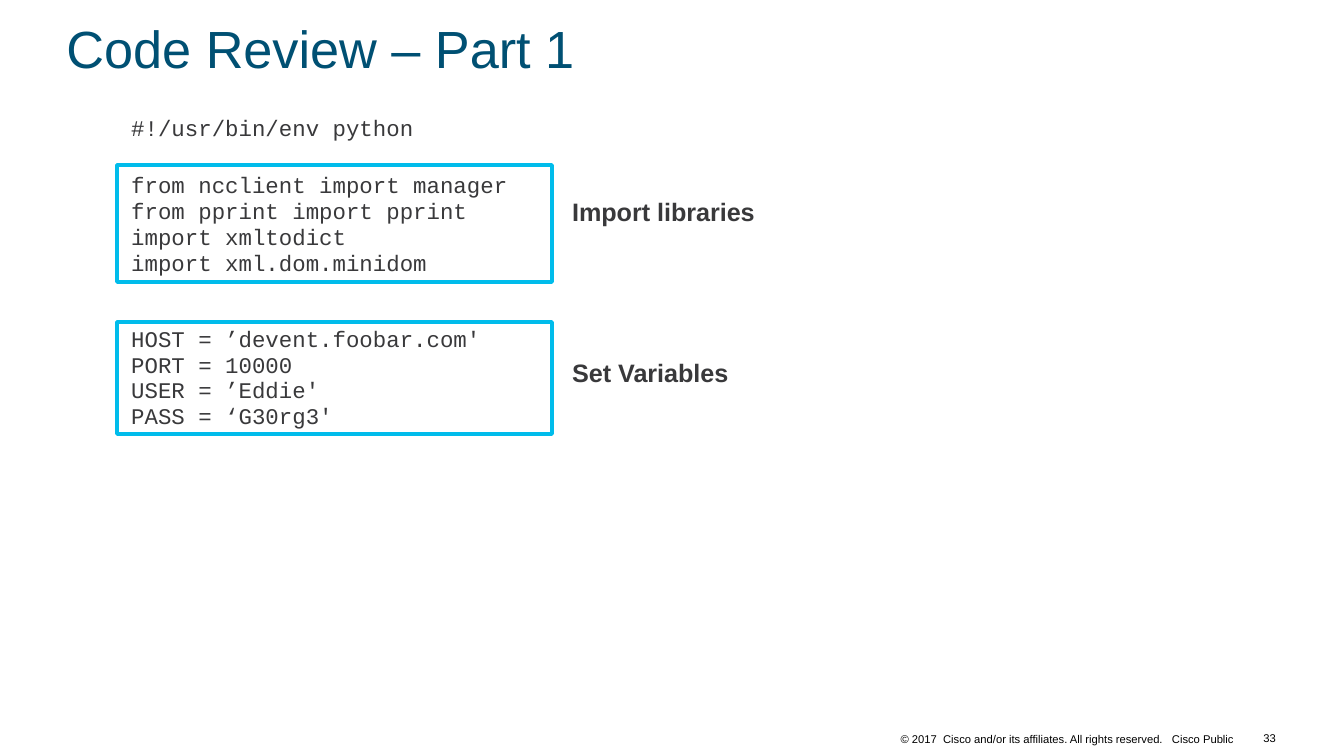
from dataclasses import dataclass, field

from pptx import Presentation
from pptx.dml.color import RGBColor
from pptx.enum.shapes import MSO_SHAPE
from pptx.enum.text import MSO_ANCHOR, MSO_AUTO_SIZE, PP_ALIGN
from pptx.util import Emu, Pt

PX_PER_INCH = 134.4
TITLE_ONLY = 5
DARK, BLUE, CYAN, BLACK = "39393B", "005073", "00BCEB", "000000"


@dataclass(frozen=True)
class Box:
    left: int
    top: int
    width: int
    height: int


@dataclass(frozen=True)
class Line:
    text: str
    space_before: float = 0
    line_spacing: float = 1.0


@dataclass(frozen=True)
class TextStyle:
    size: float
    color: str
    font: str = "Arial"
    bold: bool = False
    align: PP_ALIGN = PP_ALIGN.LEFT
    frame: dict = field(default_factory=dict)


@dataclass(frozen=True)
class CodeBlock:
    label: str
    lines: tuple[str, ...]
    gap_before: float
    outline: Box
    label_box: Box


TITLE = TextStyle(28, BLUE, frame={"vertical_anchor": MSO_ANCHOR.BOTTOM})
CODE = TextStyle(12, DARK, "Courier New")
LABEL = TextStyle(13.5, DARK, bold=True)
COPYRIGHT = TextStyle(6, BLACK, align=PP_ALIGN.RIGHT, frame={
    "vertical_anchor": MSO_ANCHOR.BOTTOM,
    "margin_left": Pt(5), "margin_right": Pt(5),
    "margin_top": Pt(2), "margin_bottom": Pt(2),
})
PAGE_NUMBER = TextStyle(6, BLACK, align=PP_ALIGN.RIGHT,
                        frame={"vertical_anchor": MSO_ANCHOR.MIDDLE})

BLOCKS = (
    CodeBlock(
        "Import libraries",
        ("from ncclient import manager", "from pprint import pprint",
         "import xmltodict", "import xml.dom.minidom"),
        17.6, Box(117, 165, 435, 117), Box(559, 190, 293, 93),
    ),
    CodeBlock(
        "Set Variables",
        ("HOST = ’devent.foobar.com'", "PORT = 10000",
         "USER = ’Eddie'", "PASS = ‘G30rg3'"),
        27.7, Box(117, 322, 435, 112), Box(559, 351, 257, 83),
    ),
)


def px(value: int) -> Emu:
    return Emu(round(value * 914400 / PX_PER_INCH))


def rgb(color: str) -> RGBColor:
    return RGBColor.from_string(color)


def place(shape, box: Box) -> None:
    for name in ("left", "top", "width", "height"):
        setattr(shape, name, px(getattr(box, name)))


def write(shape, lines: list[Line], style: TextStyle) -> None:
    frame = shape.text_frame
    frame_format = {"word_wrap": True, "auto_size": MSO_AUTO_SIZE.NONE, **style.frame}
    for name, value in frame_format.items():
        setattr(frame, name, value)
    font_format = {"name": style.font, "size": Pt(style.size), "bold": style.bold}
    for index, line in enumerate(lines):
        paragraph = frame.add_paragraph() if index else frame.paragraphs[0]
        paragraph.alignment = style.align
        paragraph.line_spacing = line.line_spacing
        paragraph.space_before = Pt(line.space_before)
        run = paragraph.add_run()
        run.text = line.text
        for name, value in font_format.items():
            setattr(run.font, name, value)
        run.font.color.rgb = rgb(style.color)


def add_text(slide, box: Box, lines: list[Line], style: TextStyle) -> None:
    shape = slide.shapes.add_textbox(0, 0, 0, 0)
    place(shape, box)
    write(shape, lines, style)


def add_outline(slide, box: Box) -> None:
    shape = slide.shapes.add_shape(MSO_SHAPE.RECTANGLE, 0, 0, 0, 0)
    place(shape, box)
    shape.shadow.inherit = False
    shape.fill.background()
    shape.line.color.rgb = rgb(CYAN)
    shape.line.width = Pt(2)


def code_lines() -> list[Line]:
    lines = [Line("#!/usr/bin/env python")]
    for block in BLOCKS:
        for index, text in enumerate(block.lines):
            lines.append(Line(text, 0.9 if index else block.gap_before, 0.9))
    return lines


def main() -> None:
    presentation = Presentation()
    presentation.slide_width, presentation.slide_height = px(1344), px(756)
    slide = presentation.slides.add_slide(presentation.slide_layouts[TITLE_ONLY])

    title = slide.shapes.title
    place(title, Box(53, 23, 1251, 64))
    write(title, [Line("Code Review – Part 1", line_spacing=0.9)], TITLE)

    add_text(slide, Box(118, 108, 1226, 512), code_lines(), CODE)
    for block in BLOCKS:
        add_outline(slide, block.outline)
        add_text(slide, block.label_box, [Line(block.label)], LABEL)

    copyright_line = ("© 2017  Cisco and/or its affiliates. "
                      "All rights reserved.   Cisco Public")
    add_text(slide, Box(880, 726, 363, 23), [Line(copyright_line)], COPYRIGHT)
    add_text(slide, Box(1236, 718, 53, 40), [Line("33")], PAGE_NUMBER)
    presentation.save("out.pptx")


if __name__ == "__main__":
    main()
